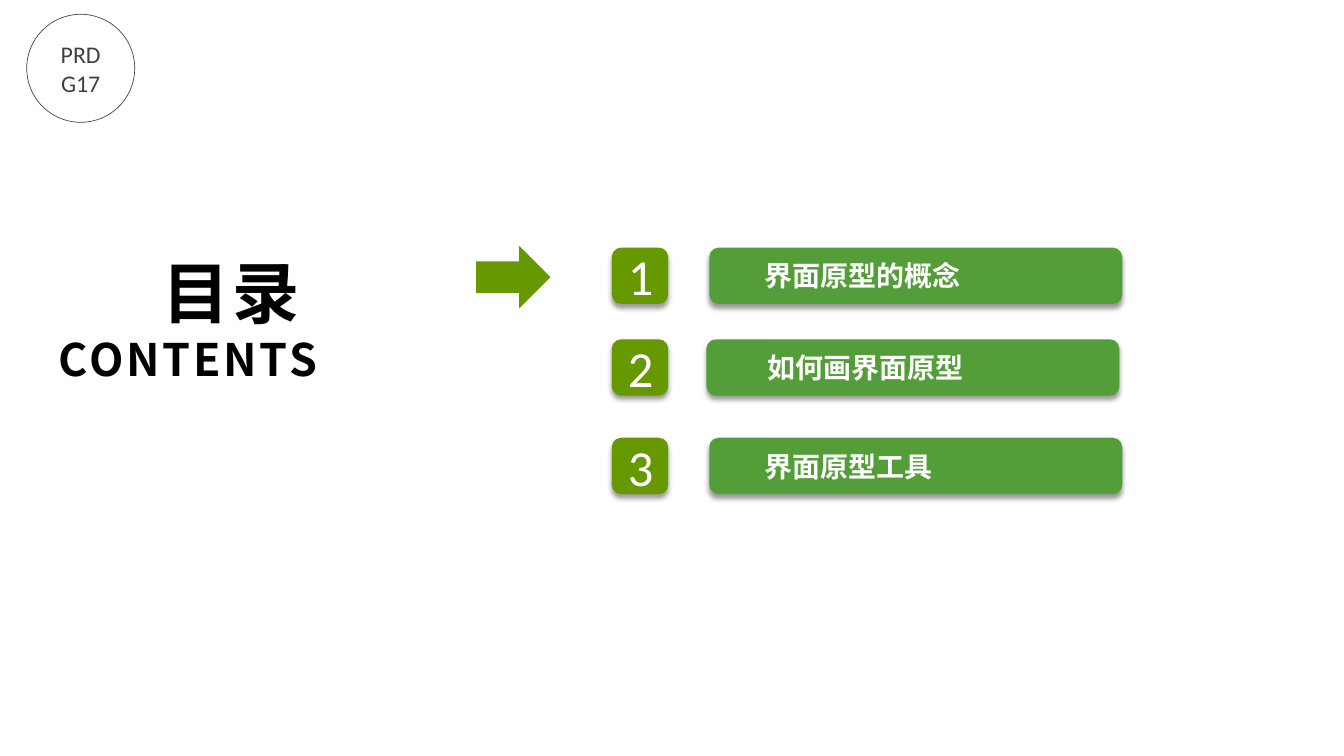
from lxml import etree
from pptx import Presentation
from pptx.dml.color import RGBColor
from pptx.enum import shapes, text
from pptx.oxml import ns, parse_xml
from pptx.util import Inches, Pt

WHITE = RGBColor(0xFF, 0xFF, 0xFF)
BLACK = RGBColor(0, 0, 0)
GRAY = RGBColor(0x40, 0x40, 0x40)
OLIVE = RGBColor(0x66, 0x99, 0x00)
GREEN = RGBColor(0x54, 0x9E, 0x39)
LATIN, HAN = "Calibri", "Noto Sans CJK SC"
KIND = shapes.MSO_SHAPE
ALIGN = text.PP_ALIGN
MIDDLE, TOP = text.MSO_ANCHOR.MIDDLE, text.MSO_ANCHOR.TOP

deck = Presentation()
deck.slide_width, deck.slide_height = Inches(14.06), Inches(7.91)
slide = deck.slides.add_slide(deck.slide_layouts[6])


def draw(kind, box, fill=None, line=None, shadow=False):
    """Add a preset shape; box is left, top, width, height in inches."""
    form = slide.shapes.add_shape(kind, *map(Inches, box))
    form.shadow.inherit = False
    if fill is None:
        form.fill.background()
    else:
        form.fill.solid()
        form.fill.fore_color.rgb = fill
    if line is None:
        form.line.fill.background()
    else:
        form.line.color.rgb = line
        form.line.width = Pt(0.5)
    if shadow:
        glow = form._element.spPr.find(ns.qn("a:effectLst"))
        glow.append(parse_xml(
            f'<a:outerShdw {ns.nsdecls("a")} blurRad="{Pt(4)}" dist="{Pt(3)}" dir="5400000" '
            'rotWithShape="0"><a:srgbClr val="000000"><a:alpha val="40000"/>'
            '</a:srgbClr></a:outerShdw>'))
    return form


def write(form, lines, font, color, bold=False, align=ALIGN.CENTER,
          anchor=MIDDLE, pad=(0.14, 0.07), track=0, wrap=True):
    """Fill a shape with (words, size) lines; track is letter spacing in points."""
    frame = form.text_frame
    frame.word_wrap = wrap
    frame.vertical_anchor = anchor
    frame.margin_left = frame.margin_right = Inches(pad[0])
    frame.margin_top = frame.margin_bottom = Inches(pad[1])
    for i, (words, size) in enumerate(lines):
        para = frame.paragraphs[0] if i == 0 else frame.add_paragraph()
        para.alignment = align
        run = para.add_run()
        run.text = words
        run.font.name, run.font.size, run.font.bold = font, Pt(size), bold
        run.font.color.rgb = color
        props = run.font._element
        etree.SubElement(props, ns.qn("a:ea")).set("typeface", font)
        if track:
            props.set("spc", str(round(track * 100)))


# Contents: top of row, left of bar, left and width of label
rows = [
    ("界面原型的概念", 2.59, 7.42, 7.86, 3.53),
    ("如何画界面原型", 3.55, 7.39, 7.89, 3.43),
    ("界面原型工具", 4.58, 7.42, 7.86, 3.69),
]
side = 0.59
for num, (topic, top, left, start, width) in enumerate(rows, 1):
    badge = draw(KIND.ROUNDED_RECTANGLE, (6.4, top, side, side), OLIVE, shadow=True)
    write(badge, [(str(num), 38)], LATIN, WHITE)
    draw(KIND.ROUNDED_RECTANGLE, (left, top, 4.32, side), GREEN, shadow=True)
    label = draw(KIND.RECTANGLE, (start, top + 0.05, width, 0.5), GREEN)
    write(label, [(topic, 21.1)], HAN, WHITE, bold=True, align=ALIGN.LEFT, anchor=TOP)

# Title, current-topic arrow and group mark
title = slide.shapes.add_textbox(*map(Inches, (0.22, 2.56, 3.24, 1.56)))
write(title, [("目录 ", 50.6), ("CONTENTS", 33.7)], HAN, BLACK, bold=True,
      align=ALIGN.RIGHT, anchor=TOP, track=2.1)
draw(KIND.RIGHT_ARROW, (4.98, 2.57, 0.78, 0.66), OLIVE)
mark = draw(KIND.OVAL, (0.28, 0.15, 1.13, 1.13), line=GRAY)
write(mark, [("PRD", 18), ("G17", 18)], LATIN, GRAY, pad=(0.1, 0.05))

deck.save("out.pptx")
